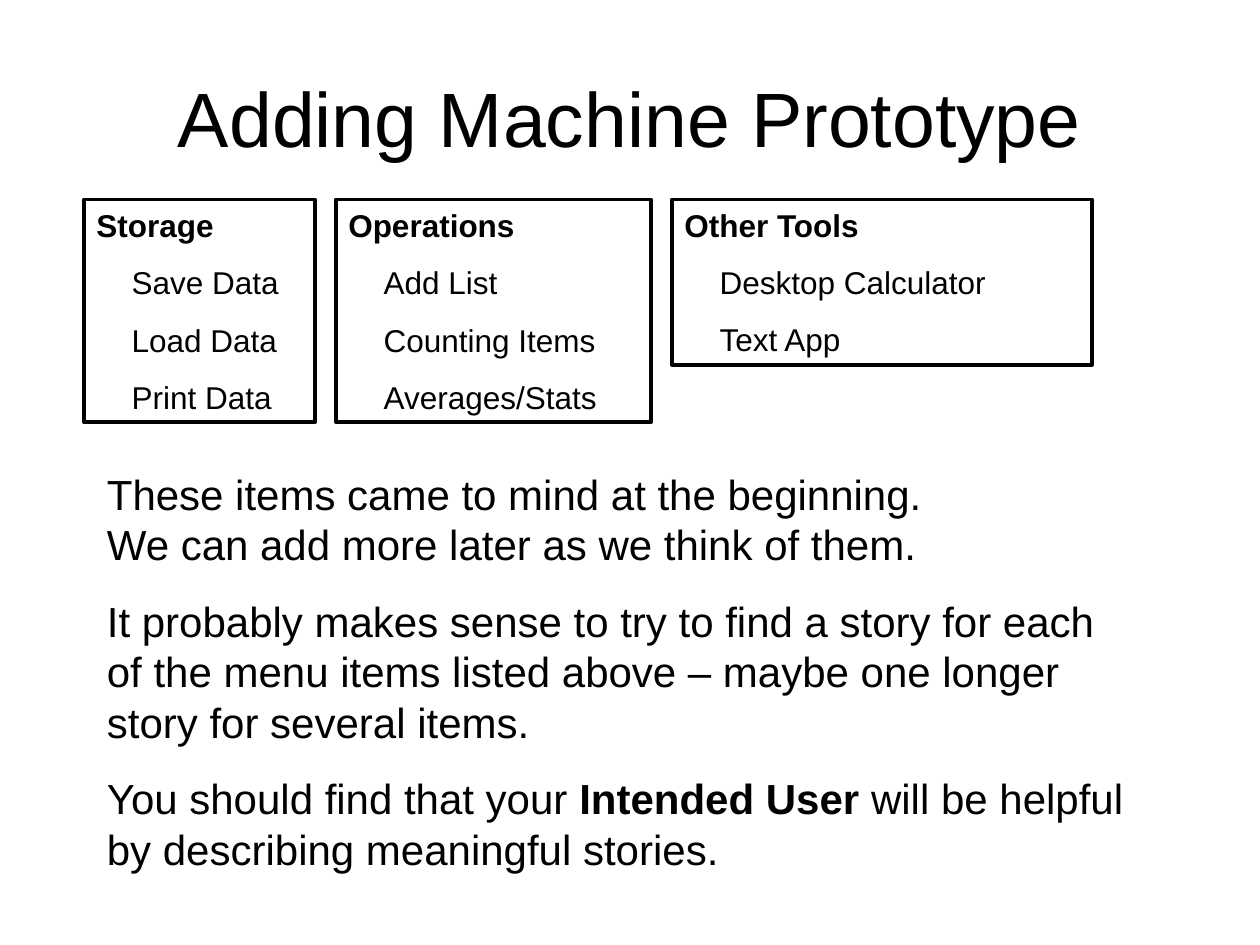
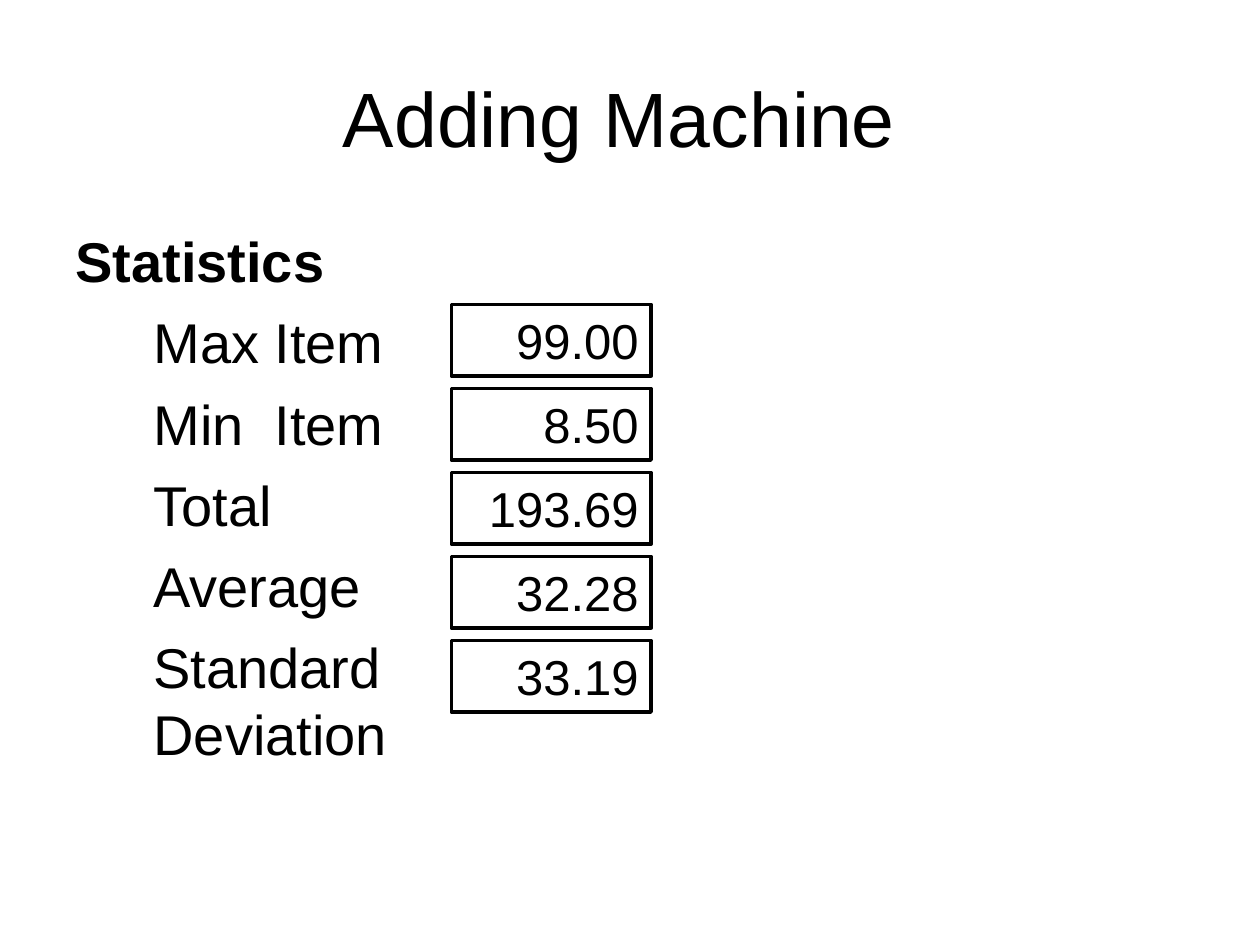
from pptx import Presentation
from pptx.dml.color import RGBColor
from pptx.enum.shapes import MSO_SHAPE
from pptx.enum.text import MSO_ANCHOR, MSO_AUTO_SIZE, PP_ALIGN
from pptx.util import Inches, Pt

COLORS = {"ink": "000000", "paper": "FFFFFF"}
FONT = "Arial"
LINE_FACTOR = 1.2   # line pitch as a multiple of the text size
PADDING = 0.1       # top and bottom inset of a box together, inches
COLS, ROWS = 120, 90
WIDTH, HEIGHT = Inches(10), Inches(7.5)

MENUS = [
    ("Storage", 22, ["Save Data", "Load Data", "Print Data"]),
    ("Operations", 30, ["Add List", "Counting Items", "Averages/Stats"]),
    ("Other Tools", 40, ["Desktop Calculator", "Text App"]),
]
# In a tuple every second part is bold
NOTES = [
    "These items came to mind at the beginning.\n"
    "We can add more later as we think of them.",
    "It probably makes sense to try to find a story for each of the menu items "
    "listed above – maybe one longer story for several items.",
    ("You should find that your ", "Intended User",
     " will be helpful by describing meaningful stories."),
]
STATISTICS = [
    ("Max Item", "99.00"),
    ("Min  Item", "8.50"),
    ("Total", "193.69"),
    ("Average", "32.28"),
    ("Standard\nDeviation", "33.19"),
]


def rgb(name):
    return RGBColor.from_string(COLORS[name])


def cell(col, row, cols, rows):
    """Turn grid columns and rows into left, top, width, height."""
    x, y = WIDTH / COLS, HEIGHT / ROWS
    return [round(v) for v in (col * x, row * y, cols * x, rows * y)]


def box_rows(lines, size, before):
    """Grid rows that a box needs to hold its lines."""
    points = lines * size * LINE_FACTOR + (lines - 1) * before
    return (points / 72 + PADDING) * ROWS / HEIGHT.inches


def style_run(r, size, bold=False):
    r.font.name = FONT
    r.font.size = Pt(size)
    r.font.bold = bold
    r.font.color.rgb = rgb("ink")


def write(tf, lines, size, before, heading=False, indent=0, align=PP_ALIGN.LEFT):
    """Write paragraphs; a heading is the bold, unindented first one."""
    tf.word_wrap = True
    tf.vertical_anchor = MSO_ANCHOR.TOP
    for i, line in enumerate(lines):
        p = tf.paragraphs[0] if i == 0 else tf.add_paragraph()
        parts = (line,) if isinstance(line, str) else line
        p.text = parts[0]
        for part in parts[1:]:
            p.add_run().text = part
        is_heading = heading and i == 0
        p.alignment = align
        p.space_before = Pt(before)
        p.line_spacing = Pt(size * LINE_FACTOR)
        if indent and not is_heading:
            p._p.get_or_add_pPr().set("marL", str(Inches(indent)))
        if len(parts) == 1:
            for r in p.runs:
                style_run(r, size, is_heading)
        else:
            for n, r in enumerate(p.runs):
                style_run(r, size, n % 2 == 1)


def add_titled_slide(prs, title):
    s = prs.slides.add_slide(prs.slide_layouts[5])
    s.background.fill.solid()
    s.background.fill.fore_color.rgb = rgb("paper")
    sp = s.shapes.title
    sp.left, sp.top, sp.width, sp.height = cell(6, 3.6, 108, 15)
    tf = sp.text_frame
    tf.text = title
    tf.auto_size = MSO_AUTO_SIZE.NONE
    tf.vertical_anchor = MSO_ANCHOR.MIDDLE
    tf.paragraphs[0].alignment = PP_ALIGN.CENTER
    style_run(tf.paragraphs[0].runs[0], 44)
    return s


def add_box(s, place, lines, size, before, **layout):
    sp = s.shapes.add_shape(MSO_SHAPE.RECTANGLE, *cell(*place))
    sp.shadow.inherit = False
    sp.fill.background()
    sp.line.color.rgb = rgb("ink")
    sp.line.width = Pt(2.25)
    write(sp.text_frame, lines, size, before, **layout)


def add_text(s, place, lines, size, before, **layout):
    sp = s.shapes.add_textbox(*cell(*place))
    write(sp.text_frame, lines, size, before, **layout)


def build_prototype(prs):
    s = add_titled_slide(prs, "Adding Machine Prototype")
    # Menus side by side, two columns apart
    col = 8
    for name, cols, items in MENUS:
        rows = box_rows(len(items) + 1, 18, 11.2)
        add_box(s, (col, 19, cols, rows), [name] + items, 18, 11.2,
                heading=True, indent=0.28)
        col += cols + 2
    # Notes on the menus
    add_text(s, (9, 44, 100, 40), NOTES, 24, 15)


def build_statistics(prs):
    s = add_titled_slide(prs, "Adding Machine ")
    # Labels
    labels = [label for label, _ in STATISTICS]
    add_text(s, (6, 21, 108, 59.4), ["Statistics"] + labels, 32, 8,
             heading=True, indent=0.62)
    # Values, one box every eight rows
    for i, (_, value) in enumerate(STATISTICS):
        add_box(s, (43, 29 + 8 * i, 19, box_rows(1, 28, 0)), [value], 28, 17.5,
                align=PP_ALIGN.RIGHT)


def main():
    prs = Presentation()
    prs.slide_width, prs.slide_height = WIDTH, HEIGHT
    build_prototype(prs)
    build_statistics(prs)
    prs.save("out.pptx")


if __name__ == "__main__":
    main()
